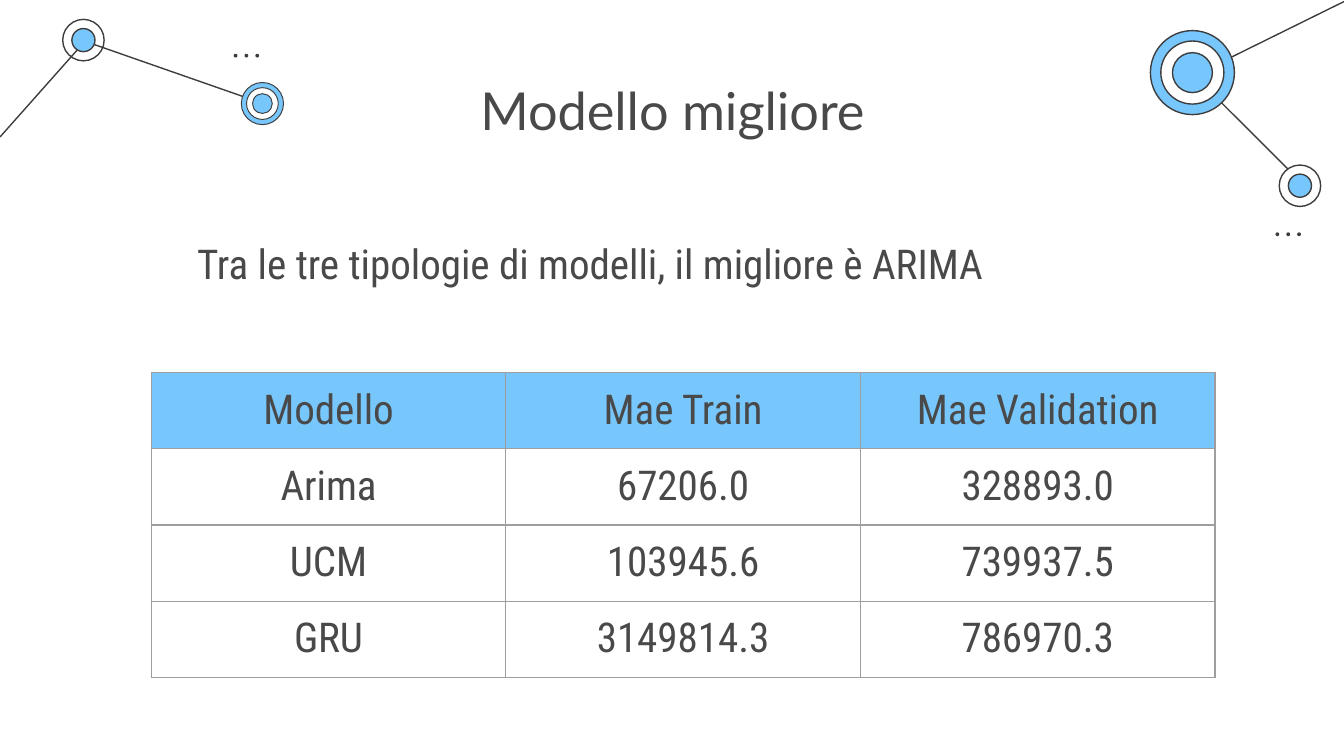
from lxml import etree
from pptx import Presentation
from pptx.dml.color import RGBColor
from pptx.enum import shapes, text
from pptx.oxml import ns
from pptx.util import Pt

BLUE = RGBColor(0x77, 0xC6, 0xFC)
WHITE = RGBColor(0xFF, 0xFF, 0xFF)
DARK = RGBColor(0x3D, 0x3D, 0x3D)
GREY = RGBColor(0x49, 0x49, 0x49)
BORDER = "9E9E9E"

prs = Presentation()
prs.slide_width, prs.slide_height = Pt(720), Pt(405)
s = prs.slides.add_slide(prs.slide_layouts[6])


def circle(cx, cy, d, fill, line=None):
    sp = s.shapes.add_shape(shapes.MSO_SHAPE.OVAL, Pt(cx - d / 2), Pt(cy - d / 2), Pt(d), Pt(d))
    sp.shadow.inherit = False
    if fill is None:
        sp.fill.background()
    else:
        sp.fill.solid()
        sp.fill.fore_color.rgb = fill
    if line is None:
        sp.line.fill.background()
    else:
        sp.line.color.rgb = DARK
        sp.line.width = Pt(line)


def style(p, size, font, align):
    p.font.size, p.font.name, p.font.color.rgb = Pt(size), font, GREY
    p.alignment = align


# Network links
for x1, y1, x2, y2 in [(696.4, 97, 638.8, 39.5), (46, 22.3, 141, 55.5),
                       (0, 73.4, 46, 21.6), (720.5, 0.6, 641.5, 39.6)]:
    c = s.shapes.add_connector(shapes.MSO_CONNECTOR.STRAIGHT, Pt(x1), Pt(y1), Pt(x2), Pt(y2))
    c.line.color.rgb = DARK
    c.line.width = Pt(0.75)
    etree.SubElement(c._element.spPr, ns.qn("a:effectLst"))

# Network nodes: centre, line width, rings from the outside in
nodes = [
    (44.7, 21.5, 0.75, [(22.2, None), (12.4, BLUE)]),
    (140.6, 55.5, 0.5, [(22.6, BLUE), (17, WHITE), (10.6, BLUE)]),
    (638.8, 38.9, 0.75, [(45, BLUE), (33.8, WHITE), (21.4, BLUE)]),
    (696.4, 99.5, 0.75, [(22.2, WHITE), (12.4, BLUE)]),
]
for cx, cy, line, rings in nodes:
    for d, fill in rings:
        circle(cx, cy, d, fill, line)

# Rows of three dots
for x, y in [(126.2, 29.8), (684.3, 125.5)]:
    for i in range(3):
        circle(x + i * 5.8, y, 2, DARK)

# Title and subtitle
for x, y, w, words, size, font, align in [
    (123.8, 34.6, 473, "Modello migliore", 28, "Lato", text.PP_ALIGN.CENTER),
    (98.6, 120.5, 460, "Tra le tre tipologie di modelli, il migliore è ARIMA", 22,
     "Roboto Condensed", text.PP_ALIGN.LEFT),
]:
    tf = s.shapes.add_textbox(Pt(x), Pt(y), Pt(w), Pt(46.8)).text_frame
    tf.word_wrap = True
    tf.margin_left = tf.margin_right = tf.margin_top = tf.margin_bottom = Pt(7.2)
    p = tf.paragraphs[0]
    p.text = words
    style(p, size, font, align)

# Table of model errors
rows = [
    ("Modello", "Mae Train", "Mae Validation"),
    ("Arima", "67206.0", "328893.0"),
    ("UCM", "103945.6", "739937.5"),
    ("GRU", "3149814.3", "786970.3"),
]
tbl = s.shapes.add_table(4, 3, Pt(81), Pt(199.6), Pt(570), Pt(160.8)).table
tbl.first_row = tbl.horz_banding = False
for row in tbl.rows:
    row.height = Pt(40.2)
for r, values in enumerate(rows):
    for col, value in enumerate(values):
        cell = tbl.cell(r, col)
        cell.margin_left = cell.margin_right = cell.margin_top = cell.margin_bottom = Pt(7.2)
        p = cell.text_frame.paragraphs[0]
        p.text = value
        style(p, 22, "Roboto Condensed", text.PP_ALIGN.CENTER)
        tcPr = cell._tc.get_or_add_tcPr()
        for side in ("a:lnL", "a:lnR", "a:lnT", "a:lnB"):
            ln = etree.SubElement(tcPr, ns.qn(side), w=str(Pt(0.75)))
            fill = etree.SubElement(ln, ns.qn("a:solidFill"))
            etree.SubElement(fill, ns.qn("a:srgbClr"), val=BORDER)
        if r == 0:
            cell.vertical_anchor = text.MSO_ANCHOR.MIDDLE
            cell.fill.solid()
            cell.fill.fore_color.rgb = BLUE
        else:
            cell.fill.background()

prs.save("out.pptx")
